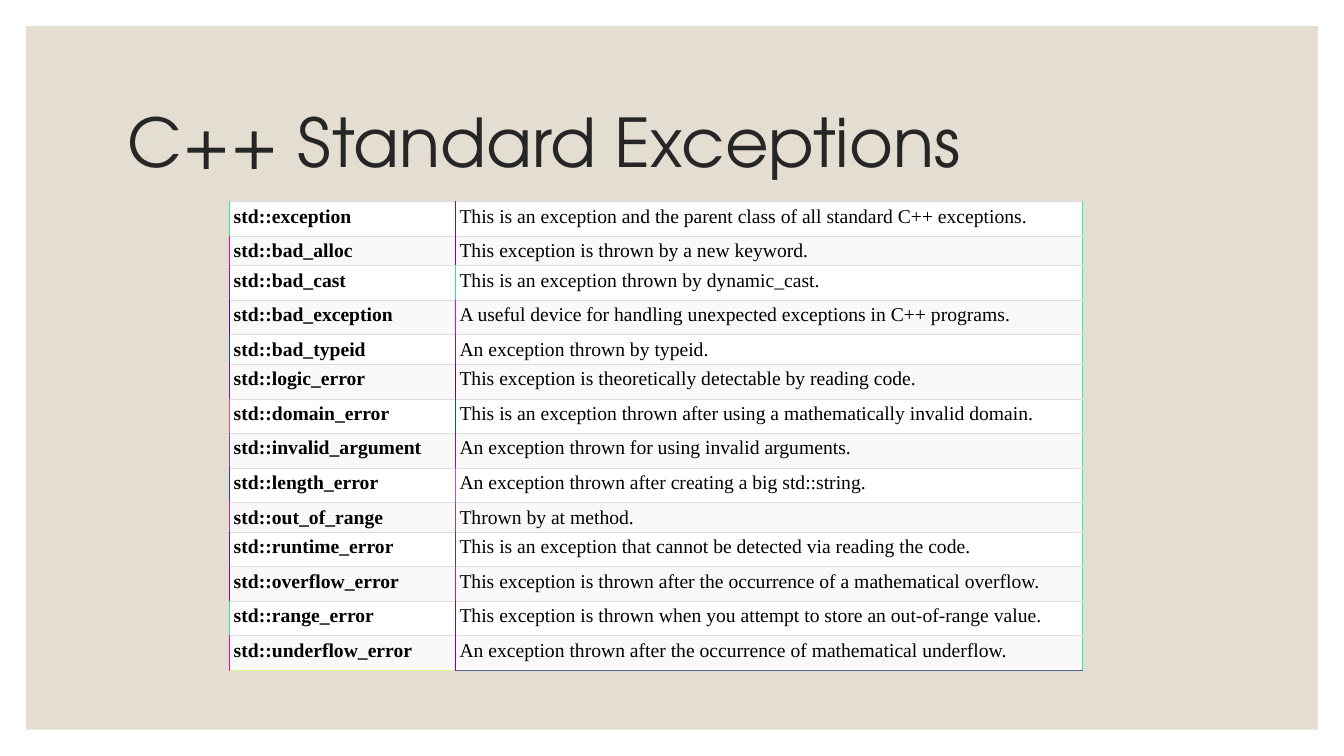
"""Build the slide that lists the C++ standard exceptions."""
from lxml import etree
from pptx import Presentation
from pptx.dml.color import RGBColor
from pptx.enum.shapes import MSO_SHAPE
from pptx.enum.text import MSO_ANCHOR, PP_ALIGN
from pptx.oxml.ns import qn
from pptx.util import Cm, Pt

RECTANGLE = MSO_SHAPE.RECTANGLE
MIDDLE, TOP = MSO_ANCHOR.MIDDLE, MSO_ANCHOR.TOP
LEFT = PP_ALIGN.LEFT

SAND = RGBColor(0xE3, 0xDE, 0xD1)
CHARCOAL = RGBColor(0x26, 0x26, 0x26)
BLACK = RGBColor(0x00, 0x00, 0x00)
WHITE = RGBColor(0xFF, 0xFF, 0xFF)
OFF_WHITE = RGBColor(0xF9, 0xF9, 0xF9)
GREY = RGBColor(0xDD, 0xDD, 0xDD)
GREEN = RGBColor(0x30, 0xF3, 0x90)
LIME = RGBColor(0xE0, 0xF4, 0x90)
BLUE = RGBColor(0x50, 0x63, 0x91)
EDGE_CYCLE = [RGBColor.from_string(c) for c in (
    "681591", "900291", "28E990", "F00B91", "901491", "500F91",
    "185091", "801891", "F04791", "784D91", "304491", "B02A91")]

TITLE_FONT = "TeX Gyre Adventor"
TABLE_FONT = "Times New Roman"
TALL, MEDIUM, SHORT = Cm(0.87), Cm(0.69), Cm(0.53)

EXCEPTIONS = [
    ("std::exception", "This is an exception and the parent class of all standard C++ exceptions.", TALL),
    ("std::bad_alloc", "This exception is thrown by a new keyword.", SHORT),
    ("std::bad_cast", "This is an exception thrown by dynamic_cast.", TALL),
    ("std::bad_exception", "A useful device for handling unexpected exceptions in C++ programs.", TALL),
    ("std::bad_typeid", "An exception thrown by typeid.", MEDIUM),
    ("std::logic_error", "This exception is theoretically detectable by reading code.", TALL),
    ("std::domain_error", "This is an exception thrown after using a mathematically invalid domain.", TALL),
    ("std::invalid_argument", "An exception thrown for using invalid arguments.", TALL),
    ("std::length_error", "An exception thrown after creating a big std::string.", TALL),
    ("std::out_of_range", "Thrown by at method.", SHORT),
    ("std::runtime_error", "This is an exception that cannot be detected via reading the code.", TALL),
    ("std::overflow_error", "This exception is thrown after the occurrence of a mathematical overflow.", TALL),
    ("std::range_error", "This exception is thrown when you attempt to store an out-of-range value.", TALL),
    ("std::underflow_error", "An exception thrown after the occurrence of mathematical underflow.", TALL),
]


def add_border(cell, side, color, width):
    tc_pr = cell._tc.get_or_add_tcPr()
    ln = etree.SubElement(tc_pr, qn("a:ln" + side), w=str(width))
    fill = etree.SubElement(ln, qn("a:solidFill"))
    etree.SubElement(fill, qn("a:srgbClr"), val=str(color))


def add_run(p, text, font, size, color, bold):
    r = p.add_run()
    r.text = text
    r.font.name = font
    r.font.size = size
    r.font.color.rgb = color
    r.font.bold = bold


prs = Presentation()
prs.slide_width, prs.slide_height = Cm(33.87), Cm(19.05)
s = prs.slides.add_slide(prs.slide_layouts[5])

panel = s.shapes.add_shape(RECTANGLE, Cm(0.66), Cm(0.66), Cm(32.56), Cm(17.73))
panel.shadow.inherit = False
panel.fill.solid()
panel.fill.fore_color.rgb = SAND
panel.line.fill.background()
s.shapes._spTree.insert(2, panel._element)

title = s.shapes.title
title.left, title.top, title.width, title.height = Cm(2.97), Cm(1.78), Cm(27.94), Cm(3.81)
tf = title.text_frame
tf.vertical_anchor = MIDDLE
p = tf.paragraphs[0]
p.alignment = LEFT
p.line_spacing = 0.9
add_run(p, "C++ Standard Exceptions", TITLE_FONT, Pt(48), CHARCOAL, False)

table_height = sum(height for _, _, height in EXCEPTIONS)
table = s.shapes.add_table(len(EXCEPTIONS), 2, Cm(5.79), Cm(5.08), Cm(21.49), table_height).table
table.first_row = table.horz_banding = False
table.columns[0].width, table.columns[1].width = Cm(5.69), Cm(15.8)

last = len(EXCEPTIONS) - 1
for i, (name, meaning, height) in enumerate(EXCEPTIONS):
    table.rows[i].height = height
    outer = EDGE_CYCLE[(i + 2) % len(EDGE_CYCLE)]
    inner = EDGE_CYCLE[i % len(EDGE_CYCLE)]
    columns = [(name, outer, inner, LIME), (meaning, inner, GREEN, BLUE)]
    for j, (text, left, right, foot) in enumerate(columns):
        cell = table.cell(i, j)
        cell.margin_left = cell.margin_right = Cm(0.1)
        cell.margin_top = cell.margin_bottom = Cm(0.1)
        cell.vertical_anchor = TOP
        add_border(cell, "L", left, Pt(1))
        add_border(cell, "R", right, Pt(1))
        add_border(cell, "T", GREY, Pt(0.75))
        if i == last:
            add_border(cell, "B", foot, Pt(1))
        else:
            add_border(cell, "B", GREY, Pt(0.75))
        cell.fill.solid()
        cell.fill.fore_color.rgb = OFF_WHITE if i % 2 else WHITE
        add_run(cell.text_frame.paragraphs[0], text, TABLE_FONT, Pt(14), BLACK, j == 0)

prs.save("out.pptx")
